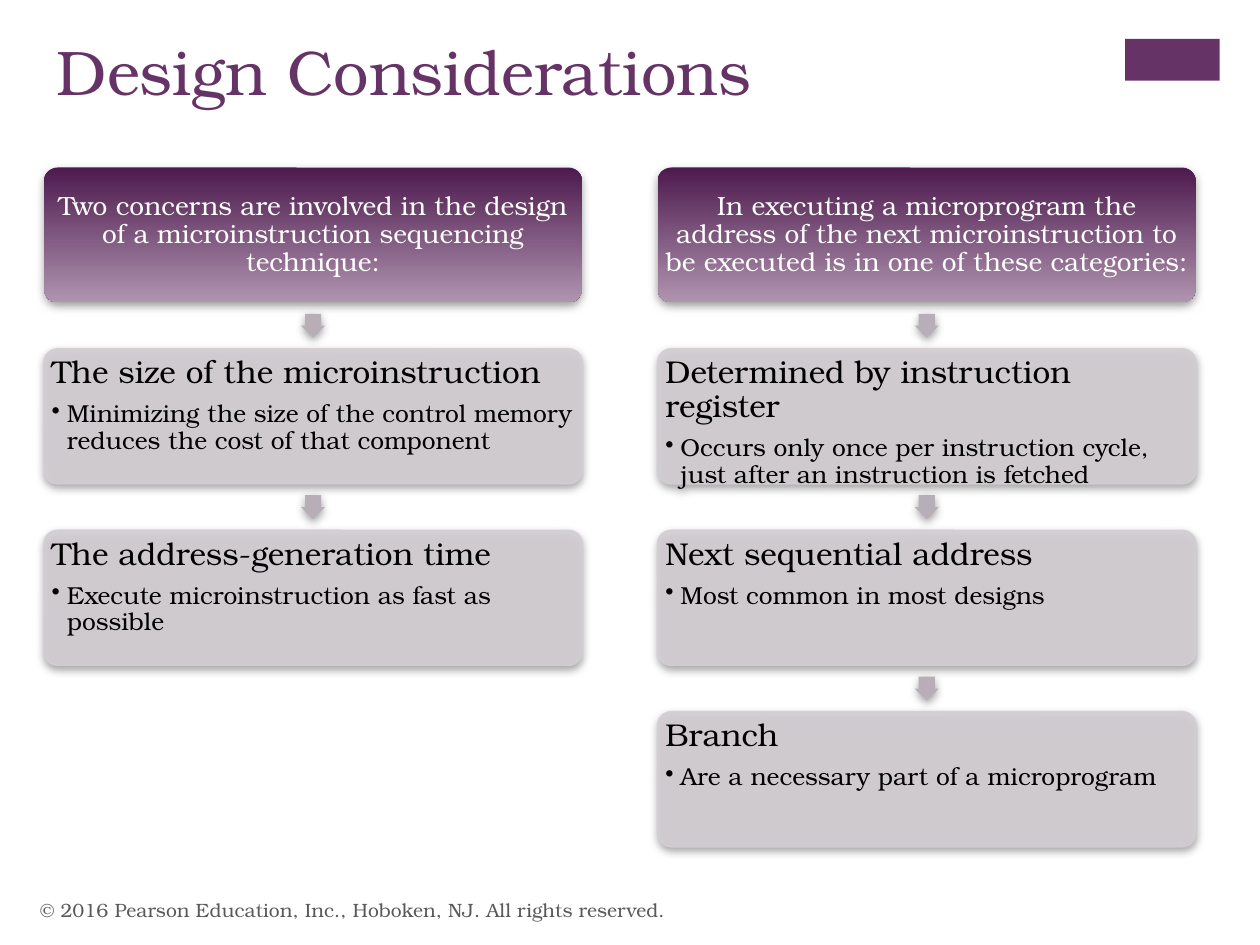
"""Build the Design Considerations slide with two vertical process flows."""
from pptx import Presentation
from pptx.dml.color import RGBColor
from pptx.enum.shapes import MSO_SHAPE
from pptx.enum.text import MSO_ANCHOR, MSO_AUTO_SIZE, PP_ALIGN
from pptx.oxml import parse_xml
from pptx.oxml.ns import nsdecls, qn
from pptx.util import Inches, Pt

FONT = "TeX Gyre Bonum"
COLORS = {
    "purple": "663366", "footer": "595959", "dark": "4D1A4D", "light": "AF94AF",
    "arrow": "B8AEB8", "panel": "D3CED3", "shadow": "808080",
    "white": "FFFFFF", "black": "000000",
}
FLOWS = [
    ("Two concerns are involved in the design of a microinstruction sequencing technique:", [
        ("The size of the microinstruction",
         "Minimizing the size of the control memory reduces the cost of that component"),
        ("The address-generation time", "Execute microinstruction as fast as possible"),
    ]),
    ("In executing a microprogram the address of the next microinstruction to be executed "
     "is in one of these categories:", [
        ("Determined by instruction register",
         "Occurs only once per instruction cycle, just after an instruction is fetched"),
        ("Next sequential address", "Most common in most designs"),
        ("Branch", "Are a necessary part of a microprogram"),
    ]),
]
LEFT, TOP = 0.35, 1.33
COLUMN_PITCH, ROW_PITCH = 4.87, 1.44
BOX_WIDTH, BOX_HEIGHT = 4.27, 1.07
ARROW_SIZE = 0.19


def add_flow_shape(kind, left, top, width, height, adjustments, fill):
    """Add a shadowed preset shape, with a gradient when two fill colours are given."""
    shape = slide.shapes.add_shape(kind, Inches(left), Inches(top), Inches(width), Inches(height))
    for index, value in enumerate(adjustments):
        shape.adjustments[index] = value
    if len(fill) == 2:
        shape.fill.gradient()
        shape.fill.gradient_angle = 270
        for stop, name in zip(shape.fill.gradient_stops, fill):
            stop.color.rgb = RGBColor.from_string(COLORS[name])
    else:
        shape.fill.solid()
        shape.fill.fore_color.rgb = RGBColor.from_string(COLORS[fill[0]])
    shape.line.fill.background()
    shape.shadow.inherit = False
    shape._element.spPr.find(qn("a:effectLst")).append(parse_xml(
        f'<a:outerShdw {nsdecls("a")} blurRad="{Pt(5)}" dist="{Pt(2)}" dir="5400000" '
        f'rotWithShape="0"><a:srgbClr val="{COLORS["shadow"]}"><a:alpha val="75000"/>'
        '</a:srgbClr></a:outerShdw>'))
    frame = shape.text_frame
    frame.word_wrap = True
    frame.margin_left = frame.margin_right = frame.margin_top = frame.margin_bottom = Inches(0.03)
    return shape


def format_paragraph(paragraph, size, color, alignment=PP_ALIGN.LEFT, spacing=0.9):
    """Set the font, colour, alignment and line spacing of a paragraph."""
    paragraph.alignment = alignment
    paragraph.line_spacing = spacing
    for run in paragraph.runs:
        run.font.name = FONT
        run.font.size = Pt(size)
        run.font.color.rgb = RGBColor.from_string(COLORS[color])


presentation = Presentation()
presentation.slide_width, presentation.slide_height = Inches(10), Inches(7.5)
slide = presentation.slides.add_slide(presentation.slide_layouts[5])

title = slide.shapes.title
title.left, title.top, title.width, title.height = map(Inches, (LEFT, 0.21, 8.26, 1.22))
title.text_frame.text = "Design Considerations"
title.text_frame.auto_size = MSO_AUTO_SIZE.NONE
title.text_frame.vertical_anchor = MSO_ANCHOR.TOP
format_paragraph(title.text_frame.paragraphs[0], 36, "purple", spacing=1.0)

corner = slide.shapes.add_shape(
    MSO_SHAPE.RECTANGLE, Inches(8.93), Inches(0.31), Inches(0.75), Inches(0.33))
corner.fill.solid()
corner.fill.fore_color.rgb = RGBColor.from_string(COLORS["purple"])
corner.line.fill.background()
corner.shadow.inherit = False

footer = slide.shapes.add_textbox(Inches(0.22), Inches(7.02), Inches(6.7), Inches(0.4))
footer.text_frame.word_wrap = True
footer.text_frame.vertical_anchor = MSO_ANCHOR.MIDDLE
footer.text_frame.text = "© 2016 Pearson Education, Inc., Hoboken, NJ. All rights reserved."
format_paragraph(footer.text_frame.paragraphs[0], 11, "footer", spacing=1.0)

for column, (heading, steps) in enumerate(FLOWS):
    left = LEFT + column * COLUMN_PITCH
    header = add_flow_shape(MSO_SHAPE.ROUNDED_RECTANGLE, left, TOP, BOX_WIDTH, BOX_HEIGHT,
                            [0.1], ["dark", "light"])
    header.text_frame.vertical_anchor = MSO_ANCHOR.MIDDLE
    header.text_frame.text = heading
    format_paragraph(header.text_frame.paragraphs[0], 15, "white", PP_ALIGN.CENTER)

    for row, (name, detail) in enumerate(steps, start=1):
        top = TOP + row * ROW_PITCH
        gap_middle = top - (ROW_PITCH - BOX_HEIGHT) / 2
        arrow = add_flow_shape(
            MSO_SHAPE.RIGHT_ARROW, left + (BOX_WIDTH - ARROW_SIZE) / 2,
            gap_middle - ARROW_SIZE / 2, ARROW_SIZE, ARROW_SIZE, [0.67, 0.5], ["arrow"])
        arrow.rotation = 90

        panel = add_flow_shape(MSO_SHAPE.ROUNDED_RECTANGLE, left, top, BOX_WIDTH, BOX_HEIGHT,
                               [0.1], ["panel"])
        panel.line.color.rgb = RGBColor.from_string(COLORS["panel"])
        panel.line.width = Pt(1)
        for color in panel._element.spPr.findall(".//" + qn("a:solidFill") + "/" + qn("a:srgbClr")):
            color.append(parse_xml(f'<a:alpha {nsdecls("a")} val="90000"/>'))
        panel.text_frame.vertical_anchor = MSO_ANCHOR.TOP
        panel.text_frame.text = f"{name}\n{detail}"
        name_paragraph, detail_paragraph = panel.text_frame.paragraphs
        format_paragraph(name_paragraph, 18, "black")
        name_paragraph.space_after = Pt(6.3)
        format_paragraph(detail_paragraph, 14, "black")
        detail_paragraph.level = 1
        properties = detail_paragraph._p.get_or_add_pPr()
        properties.set("marL", str(Inches(0.12)))
        properties.set("indent", str(-Inches(0.12)))
        properties.append(parse_xml(f'<a:buChar {nsdecls("a")} char="•"/>'))

presentation.save("out.pptx")
